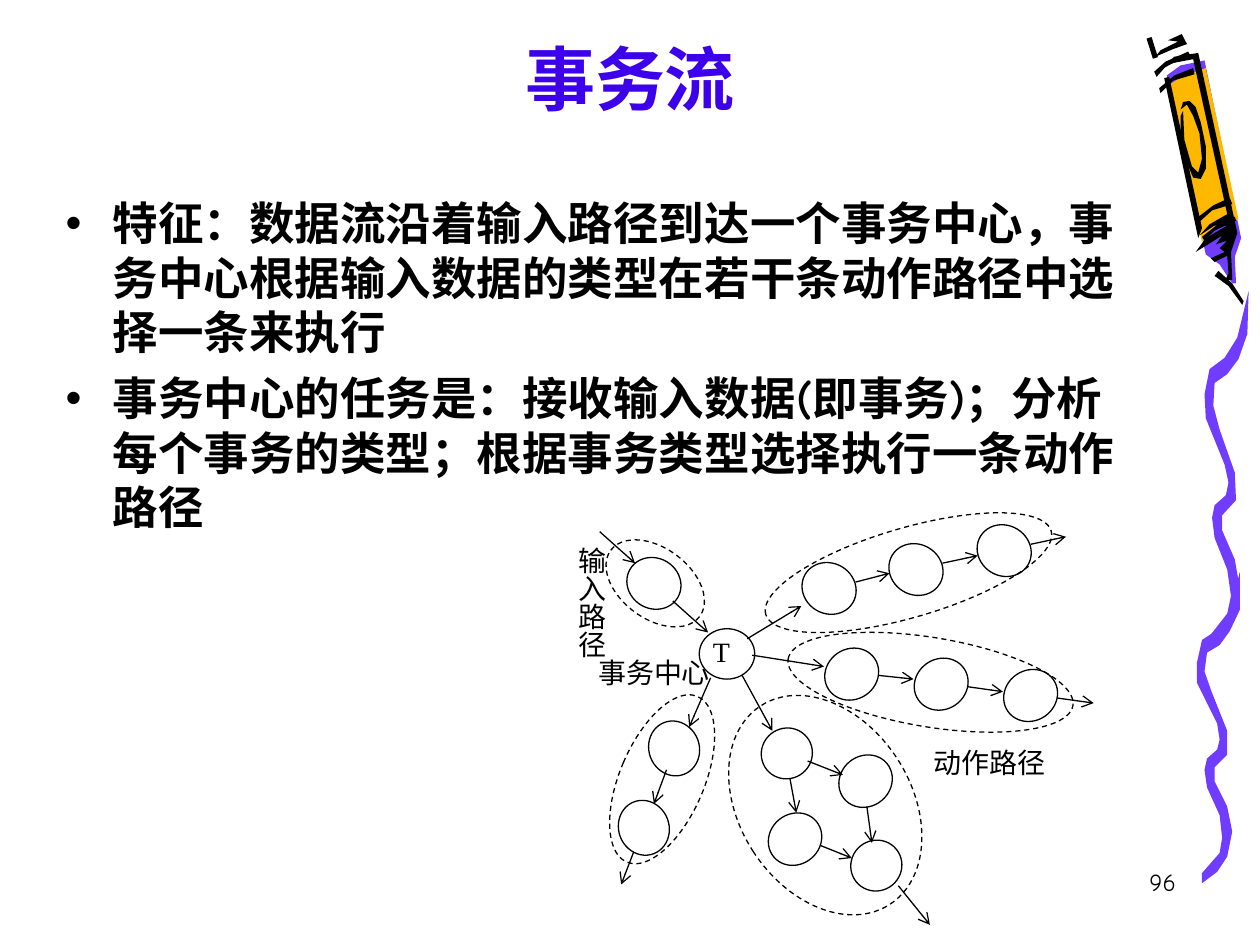
from dataclasses import dataclass
from lxml.etree import SubElement
from pptx import Presentation
from pptx.dml.color import RGBColor
from pptx.enum.dml import MSO_LINE
from pptx.enum.shapes import MSO_CONNECTOR, MSO_SHAPE
from pptx.enum.text import MSO_ANCHOR, MSO_AUTO_SIZE, PP_ALIGN
from pptx.oxml.ns import qn
from pptx.util import Inches, Pt


@dataclass(frozen=True)
class Theme:
    black: str = "000000"
    white: str = "FFFFFF"
    title: str = "3D00EA"
    purple: str = "703DFF"
    orange: str = "FFB800"
    heading_font: str = "Comic Neue"
    label_font: str = "Times New Roman"
    title_size: float = 40
    body_size: float = 26
    label_size: float = 16
    number_size: float = 14
    thin: float = 0.75
    thick: float = 3


class SlideBuilder:
    def __init__(self, s, theme):
        self.s = s
        self.theme = theme

    def place(self, sp, left, top, width, height):
        sp.left, sp.top = Inches(left), Inches(top)
        sp.width, sp.height = Inches(width), Inches(height)

    def add_text(self, p, text, size, font, color=None, bold=False):
        r = p.add_run()
        r.text = text
        r.font.size = Pt(size)
        r.font.name = font
        r.font.bold = bold
        r.font.color.rgb = RGBColor.from_string(color or self.theme.black)

    def title(self, text, box):
        sp = self.s.shapes.title
        self.place(sp, *box)
        tf = sp.text_frame
        tf.auto_size = MSO_AUTO_SIZE.NONE
        tf.vertical_anchor = MSO_ANCHOR.BOTTOM
        p = tf.paragraphs[0]
        p.alignment = PP_ALIGN.CENTER
        self.add_text(p, text, self.theme.title_size, self.theme.heading_font,
                      self.theme.title, True)

    def bullets(self, items, box):
        sp = self.s.placeholders[1]
        self.place(sp, *box)
        tf = sp.text_frame
        tf.auto_size = MSO_AUTO_SIZE.NONE
        for i, item in enumerate(items):
            p = tf.add_paragraph() if i else tf.paragraphs[0]
            p.space_before = Pt(6.5 if i else 0)
            self.add_text(p, item, self.theme.body_size, self.theme.heading_font, bold=True)

    def label(self, text, box, size=None, font=None, align=PP_ALIGN.JUSTIFY, vertical=False):
        sp = self.s.shapes.add_textbox(*map(Inches, box))
        tf = sp.text_frame
        tf.word_wrap = True
        if vertical:
            tf.margin_left = tf.margin_right = Inches(0.05)
            tf.margin_top = tf.margin_bottom = Inches(0.1)
            sp.element.txBody.bodyPr.set("vert", "eaVert")
        p = tf.paragraphs[0]
        p.alignment = align
        self.add_text(p, text, size or self.theme.label_size, font or self.theme.label_font)

    def ellipse(self, left, top, width, height, rotation=0, dashed=False):
        box = map(Inches, (left, top, width, height))
        sp = self.s.shapes.add_shape(MSO_SHAPE.OVAL, *box)
        sp.shadow.inherit = False
        sp.rotation = rotation
        sp.fill.background()
        sp.line.color.rgb = RGBColor.from_string(self.theme.black)
        sp.line.width = Pt(self.theme.thin)
        if dashed:
            sp.line.dash_style = MSO_LINE.DASH

    def line(self, x1, y1, x2, y2, width=None, arrow=True):
        ends = map(Inches, (x1, y1, x2, y2))
        cx = self.s.shapes.add_connector(MSO_CONNECTOR.STRAIGHT, *ends)
        cx.line.color.rgb = RGBColor.from_string(self.theme.black)
        cx.line.width = Pt(width or self.theme.thin)
        if arrow:
            SubElement(cx.element.spPr.find(qn("a:ln")), qn("a:tailEnd"), type="arrow")
        SubElement(cx.element.spPr, qn("a:effectLst"))

    def outline(self, points, color):
        fb = self.s.shapes.build_freeform(*points[0], scale=Inches(0.01))
        fb.add_line_segments(points[1:], close=True)
        sp = fb.convert_to_shape()
        sp.shadow.inherit = False
        sp.fill.solid()
        sp.fill.fore_color.rgb = RGBColor.from_string(color)
        sp.line.fill.background()


RIBBON = [
    (960, 505), (974, 487), (977, 473), (974, 452), (964, 427), (962, 411), (964, 401), (973, 393),
    (975, 383), (972, 369), (957, 332), (956, 313), (960, 293), (972, 284), (982, 268), (991, 231),
    (990, 265), (983, 285), (974, 297), (964, 304), (963, 322), (968, 341), (980, 375), (981, 397),
    (970, 409), (970, 421), (980, 444), (984, 467), (980, 491), (972, 504), (961, 515)]
CRAYON_BACK = [
    (950, 44), (930, 47), (919, 57), (949, 197), (962, 207), (972, 220), (976, 219), (975, 198),
    (979, 185)]
CRAYON_SHADE = [
    (926, 60), (957, 202), (968, 210), (978, 225), (981, 225), (980, 204), (985, 189), (956, 48),
    (937, 52)]
CRAYON_BODY = [(954, 192), (968, 179), (983, 174), (957, 54), (936, 62), (927, 68)]
CRAYON_STROKES = [
    [(964, 219), (975, 227), (986, 242), (987, 239), (978, 225), (967, 215)],
    [(917, 45), (931, 39), (942, 35), (938, 27), (927, 32), (935, 33), (921, 40)],
    [(937, 92), (937, 106), (941, 127), (947, 141), (953, 142), (957, 134), (957, 116), (953, 97),
     (949, 85), (944, 80), (939, 81), (937, 87), (942, 83), (947, 92), (952, 106), (954, 126),
     (951, 137), (946, 132), (940, 111), (939, 88)],
    [(924, 62), (951, 189), (954, 181), (928, 61)],
    [(949, 200), (957, 189), (974, 179), (964, 179), (952, 187), (960, 178), (974, 170), (947, 47),
     (931, 50), (920, 56), (932, 45), (951, 42), (982, 185), (977, 200), (978, 222), (972, 223),
     (975, 217), (974, 203), (964, 208), (961, 205), (972, 200), (968, 197), (974, 191), (965, 194),
     (970, 187)],
    [(956, 191), (964, 183), (981, 175), (980, 172), (969, 176), (954, 188)],
    [(951, 177), (962, 167), (978, 162), (976, 157), (963, 163), (950, 173)],
    [(921, 74), (931, 64), (948, 59), (947, 54), (932, 60), (920, 70)],
    [(918, 61), (926, 52), (945, 45), (943, 41), (925, 49), (916, 57)]]

PATH_REGIONS = [
    (6.03, 4.19, 2.36, 0.71, 343.7), (4.92, 5.47, 0.67, 1.43, 23.1),
    (5.87, 5.45, 1.36, 1.88, 326.9), (6.24, 5.06, 2.29, 0.71, 9.3),
    (4.76, 4.35, 0.88, 0.56, 36.6)]
PROCESS_NODES = {
    (0.4, 0.44, 301.3): [(6.38, 4.45), (7.07, 4.3), (7.77, 4.15), (4.99, 4.41)],
    (0.44, 0.4, 69.4): [(5.13, 5.74), (4.89, 6.37)],
    (0.44, 0.4, 320.5): [(6.65, 6), (6.09, 6.46)],
    (0.41, 0.4, 320.5): [(6.04, 5.78), (6.75, 6.67)],
    (0.44, 0.4, 325.6): [(6.54, 5.15), (7.25, 5.23), (7.96, 5.32)],
    (0.44, 0.4, 0): [(5.55, 4.99)]}
FLOWS = [
    (4.76, 4.22, 5.04, 4.47), (5.34, 4.77, 5.62, 5.02),
    (5.93, 5.07, 6.36, 4.81), (6.79, 4.62, 7.06, 4.55), (7.48, 4.47, 7.76, 4.41),
    (8.18, 4.32, 8.46, 4.26),
    (5.97, 5.2, 6.54, 5.29), (6.97, 5.36, 7.25, 5.39), (7.68, 5.45, 7.96, 5.49),
    (8.39, 5.54, 8.68, 5.58),
    (5.89, 5.36, 6.13, 5.8), (6.27, 6.18, 6.32, 6.45), (6.41, 6.04, 6.69, 6.15),
    (6.51, 6.71, 6.76, 6.81), (6.88, 6.4, 6.92, 6.69), (7.13, 7.03, 7.38, 7.34),
    (5.64, 5.38, 5.47, 5.77), (5.29, 6.11, 5.19, 6.38), (5.03, 6.76, 4.93, 7.02)]


def draw_crayon(b):
    t = b.theme
    b.outline([(x - 6.5, 253.3 + 0.87 * y) for x, y in RIBBON], t.purple)
    b.outline(RIBBON, t.purple)
    b.outline(CRAYON_BACK, t.white)
    b.outline(CRAYON_SHADE, t.purple)
    b.outline(CRAYON_BODY, t.orange)
    for stroke in CRAYON_STROKES:
        b.outline(stroke, t.black)
    b.line(9.12, 0.3, 9.17, 0.46, width=t.thick, arrow=False)


def draw_transaction_flow(b):
    b.label("动作路径", (7.31, 5.87, 1.22, 0.44))
    b.label("事务中心", (4.65, 5.15, 1.38, 0.44))
    b.label("输入路径", (4.33, 4.24, 0.55, 1.26), vertical=True)
    for region in PATH_REGIONS:
        b.ellipse(*region, dashed=True)
    for (width, height, rotation), corners in PROCESS_NODES.items():
        for left, top in corners:
            b.ellipse(left, top, width, height, rotation)
    for flow in FLOWS:
        b.line(*flow)
    b.label("T", (5.56, 4.99, 0.49, 0.37))


def main():
    prs = Presentation()
    prs.slide_width, prs.slide_height = Inches(10), Inches(7.5)
    theme = Theme()
    b = SlideBuilder(prs.slides.add_slide(prs.slide_layouts[1]), theme)
    draw_crayon(b)
    b.label("96", (7.35, 6.83, 2.08, 0.5), theme.number_size, theme.heading_font, PP_ALIGN.RIGHT)
    b.title("事务流", (0.5, 0.17, 9, 0.83))
    b.bullets([
        "特征：数据流沿着输入路径到达一个事务中心，事务中心根据输入数据的类型在若干条动作路径中选择一条来执行",
        "事务中心的任务是：接收输入数据(即事务)；分析每个事务的类型；根据事务类型选择执行一条动作路径",
    ], (0.42, 1.5, 8.67, 5.17))
    draw_transaction_flow(b)
    prs.save("out.pptx")


if __name__ == "__main__":
    main()
